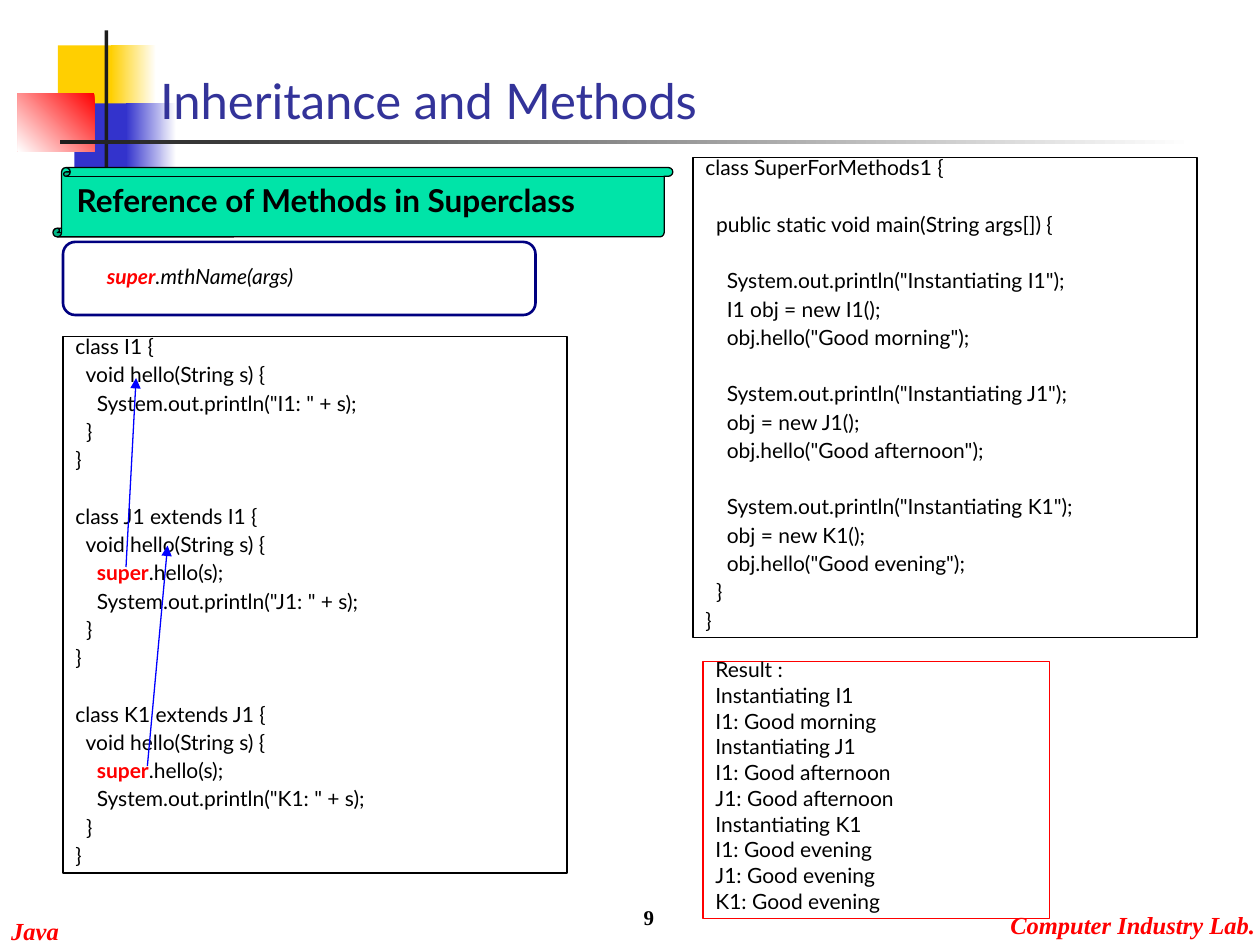
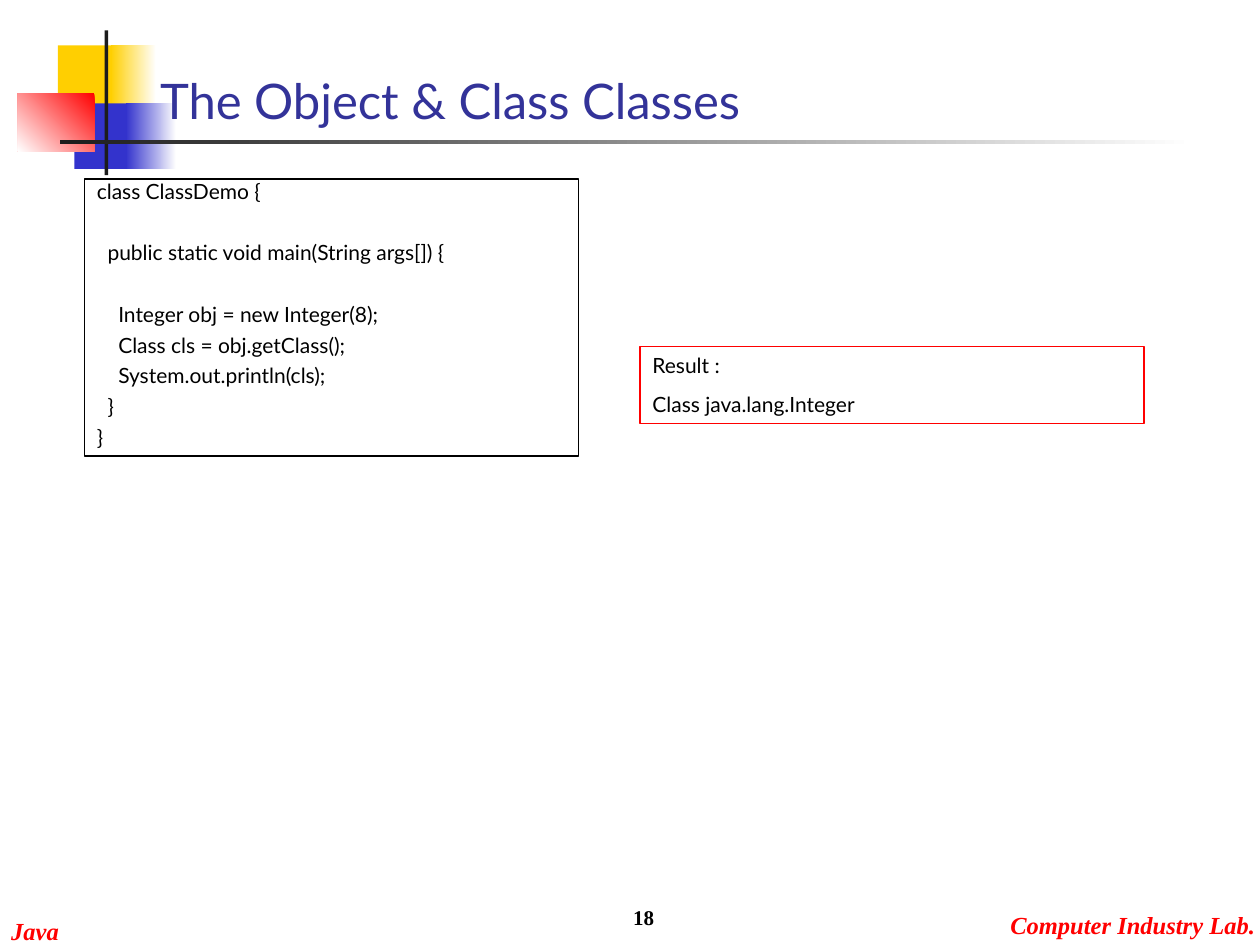
"""Build two Java lecture slides on inheritance and the class Class."""
import lxml.etree
import pptx
import pptx.dml.color
import pptx.enum.shapes
import pptx.enum.text
import pptx.oxml.ns
import pptx.util

Inches = pptx.util.Inches
Pt = pptx.util.Pt
RGBColor = pptx.dml.color.RGBColor
Kind = pptx.enum.shapes.MSO_SHAPE
Align = pptx.enum.text.PP_ALIGN
Anchor = pptx.enum.text.MSO_ANCHOR

BLACK = RGBColor(0x00, 0x00, 0x00)
WHITE = RGBColor(0xFF, 0xFF, 0xFF)
RED = RGBColor(0xFF, 0x00, 0x00)
BLUE = RGBColor(0x00, 0x00, 0xFF)
NAVY = RGBColor(0x00, 0x00, 0x80)
INDIGO = RGBColor(0x33, 0x33, 0x99)
ROYAL = RGBColor(0x33, 0x33, 0xCC)
GOLD = RGBColor(0xFF, 0xCF, 0x01)
GREEN = RGBColor(0x00, 0xE4, 0xA8)
DARK = RGBColor(0x1C, 0x1C, 0x1C)

SANS = "Lato"
SERIF = "Times New Roman"
KEY = "super"
GAP = 7.5

BLOCKS = [
    ((0.46, 0.36, 0.48, 0.52), (GOLD,), 0),
    ((0.88, 0.36, 0.36, 0.52), (WHITE, GOLD), 180),
    ((0.59, 0.82, 0.46, 0.52), (ROYAL,), 0),
    ((1, 0.82, 0.4, 0.52), (WHITE, ROYAL), 180),
    ((0.14, 0.74, 0.61, 0.46), (RED, WHITE), 225),
    ((0.83, 0.24, 0.03, 1.15), (DARK,), 0),
    ((0.48, 1.11, 9, 0.03), (WHITE, DARK), 180),
]

CHAIN = """class I1 {
  void hello(String s) {
    System.out.println("I1: " + s);
  }
}

class J1 extends I1 {
  void hello(String s) {
    super.hello(s);
    System.out.println("J1: " + s);
  }
}

class K1 extends J1 {
  void hello(String s) {
    super.hello(s);
    System.out.println("K1: " + s);
  }
}"""

MAIN = """class SuperForMethods1 {

  public static void main(String args[]) {

    System.out.println("Instantiating I1");
    I1 obj = new I1();
    obj.hello("Good morning");

    System.out.println("Instantiating J1");
    obj = new J1();
    obj.hello("Good afternoon");

    System.out.println("Instantiating K1");
    obj = new K1();
    obj.hello("Good evening");
  }
}"""

RESULT = """Result :
Instantiating I1
I1: Good morning
Instantiating J1
I1: Good afternoon
J1: Good afternoon
Instantiating K1
I1: Good evening
J1: Good evening
K1: Good evening"""

DEMO = """class ClassDemo {

  public static void main(String args[]) {

    Integer obj = new Integer(8);
    Class cls = obj.getClass();
    System.out.println(cls);
  }
}"""


def put(item, vals):
    for name, val in vals.items():
        setattr(item, name, val)


class Deck:
    def __init__(self):
        self.show = pptx.Presentation()
        put(self.show, {"slide_width": Inches(10), "slide_height": Inches(7.5)})
        self.page = None
        self.base = {"name": SANS, "size": Pt(12), "bold": False, "italic": False}

    def slide(self, title, width, number):
        self.page = self.show.slides.add_slide(self.show.slide_layouts[5])
        for at, tones, angle in BLOCKS:
            self.block(at, tones, angle)
        mark = {"name": SERIF, "bold": True}
        foot = {**mark, "size": Pt(14), "italic": True}
        self.text((-0.01, 7.22, 0.58, 0.34), "Java", foot, RED, wrap=False)
        self.text((7.92, 7.17, 2.14, 0.34), "Computer Industry Lab.", foot, RED, wrap=False)
        self.text((3.21, 6.93, 2.08, 0.5), number, mark, align=Align.RIGHT, anchor=Anchor.BOTTOM)
        head = self.page.shapes.title
        put(head, dict(zip(("left", "top", "width", "height"), map(Inches, (1.17, 0.5, width, 0.58)))))
        self.fill(head, title, {"size": Pt(28)}, INDIGO, anchor=Anchor.BOTTOM)
        head.element.getparent().append(head.element)

    def shape(self, kind, at, fill=None, line=None, width=0.75):
        item = self.page.shapes.add_shape(kind, *map(Inches, at))
        item.shadow.inherit = False
        if fill is None:
            item.fill.background()
        else:
            item.fill.solid()
            item.fill.fore_color.rgb = fill
        if line is None:
            item.line.fill.background()
        else:
            item.line.color.rgb = line
            item.line.width = Pt(width)
        return item

    def block(self, at, tones, angle):
        item = self.shape(Kind.RECTANGLE, at, tones[0])
        if len(tones) > 1:
            item.fill.gradient()
            item.fill.gradient_angle = angle
            for stop, tone in zip(item.fill.gradient_stops, tones):
                stop.color.rgb = tone

    def fill(self, item, text, font=None, tone=BLACK, pitch=1.0,
             align=Align.LEFT, anchor=Anchor.TOP, wrap=True):
        frame = item.text_frame
        put(frame, {"word_wrap": wrap, "vertical_anchor": anchor,
                    "auto_size": pptx.enum.text.MSO_AUTO_SIZE.NONE})
        para, space = frame.paragraphs[0], 0
        for row, line in enumerate(text.split("\n")):
            if not line:
                space += GAP + 14.4 * pitch
                continue
            if row:
                para = frame.add_paragraph()
            put(para, {"alignment": align, "line_spacing": pitch, "space_before": Pt(space)})
            space = GAP
            for part in filter(None, line.partition(KEY)):
                run = para.add_run()
                run.text = part
                put(run.font, {**self.base, **(font or {})})
                run.font.color.rgb = tone
                if part == KEY:
                    run.font.bold = True
                    run.font.color.rgb = RED

    def text(self, at, *args, **opts):
        self.fill(self.page.shapes.add_textbox(*map(Inches, at)), *args, **opts)

    def code(self, at, text, pitch, line=BLACK):
        self.fill(self.shape(Kind.RECTANGLE, at, line=line), text, pitch=pitch)

    def arrow(self, *ends):
        straight = pptx.enum.shapes.MSO_CONNECTOR.STRAIGHT
        item = self.page.shapes.add_connector(straight, *map(Inches, ends))
        item.line.color.rgb = BLUE
        item.line.width = Pt(0.75)
        tag = pptx.oxml.ns.qn
        props = item.element.spPr
        lxml.etree.SubElement(props.find(tag("a:ln")), tag("a:tailEnd"), type="triangle")
        lxml.etree.SubElement(props, tag("a:effectLst"))


def main():
    deck = Deck()

    deck.slide("Inheritance and Methods", 4.5, "9")
    deck.shape(Kind.ROUNDED_RECTANGLE, (0.5, 1.92, 3.75, 0.58), line=NAVY, width=1.5)
    deck.text((0.75, 2.08, 3.5, 0.26), "super.mthName(args)", {"italic": True}, pitch=0.8)
    deck.shape(Kind.VERTICAL_SCROLL, (0.42, 1.33, 4.92, 0.55), GREEN, BLACK)
    deck.text((0.51, 1.39, 4.72, 0.4), "Reference of Methods in Superclass",
              {"size": Pt(18), "bold": True})
    deck.code((0.5, 2.67, 4, 4.26), CHAIN, 0.6)
    deck.code((5.5, 1.25, 4, 3.81), MAIN, 0.6)
    deck.code((5.58, 5.25, 2.75, 2.04), RESULT, 0.5, RED)
    deck.arrow(1.17, 6.08, 1.33, 4.33)
    deck.arrow(1, 4.5, 1.08, 3)

    deck.slide("The Object & Class Classes", 5, "18")
    deck.code((5.08, 2.75, 4, 0.61), "Result :\nClass java.lang.Integer", 1.0, RED)
    deck.code((0.67, 1.42, 3.92, 2.2), DEMO, 0.7)

    deck.show.save("out.pptx")


if __name__ == "__main__":
    main()
